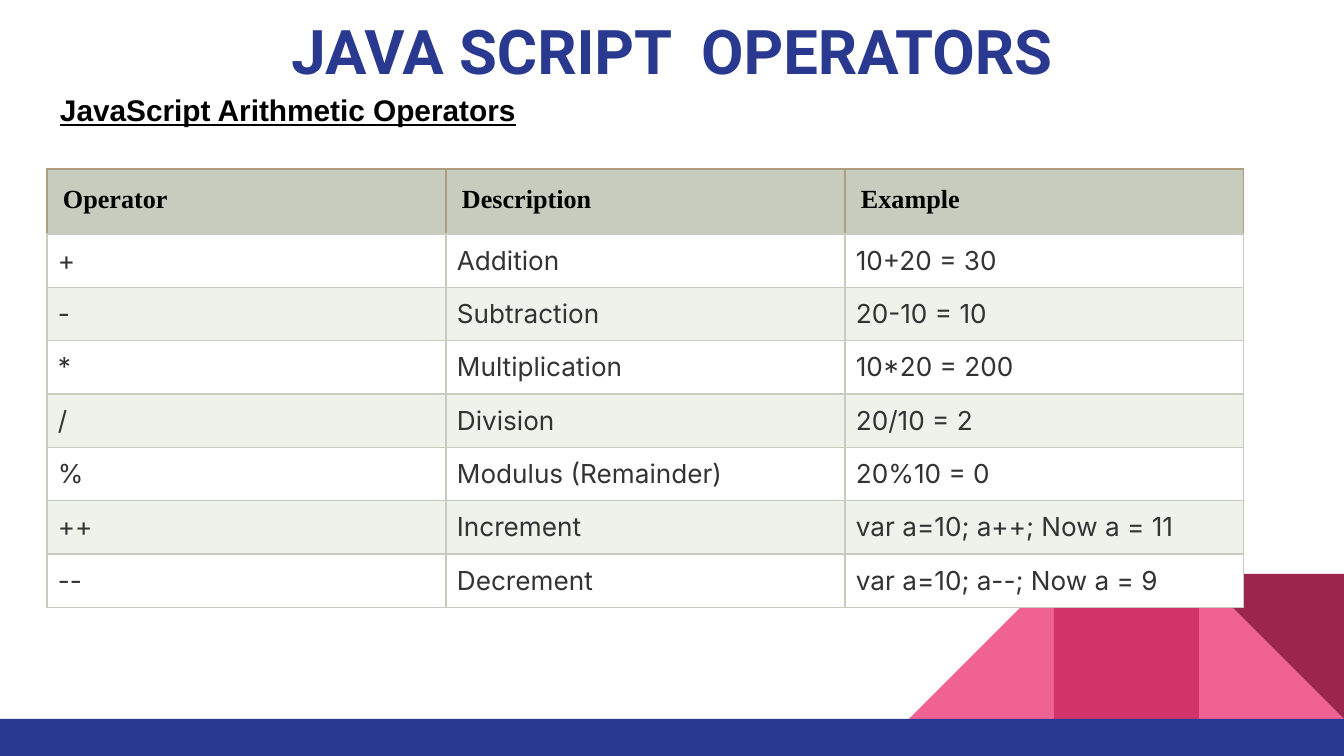
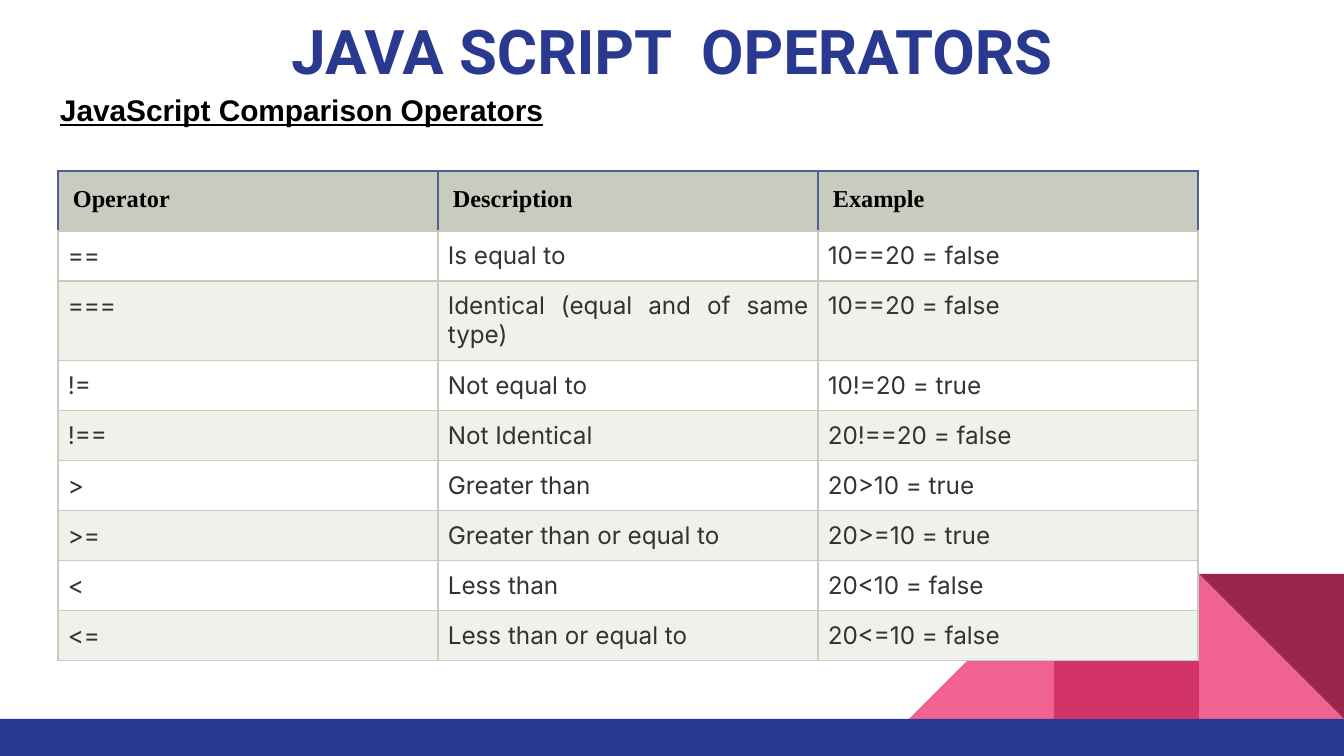
from lxml.etree import SubElement
from pptx import Presentation
from pptx.dml.color import RGBColor
from pptx.enum.shapes import MSO_SHAPE
from pptx.enum.text import MSO_ANCHOR, MSO_AUTO_SIZE, PP_ALIGN
from pptx.oxml.ns import qn
from pptx.util import Pt

TITLE = "JAVA SCRIPT  OPERATORS"
HEADER = ("Operator", "Description", "Example")
SLIDES = [
    {
        "heading": "JavaScript Arithmetic Operators",
        "left": 47, "top": 169, "col": 399, "size": 14, "edge": "B09D81",
        "head_h": 65, "row_h": 53, "tall": {}, "head_pad": 16, "pad": 11,
        "rows": [
            ("+", "Addition", "10+20 = 30"),
            ("-", "Subtraction", "20-10 = 10"),
            ("*", "Multiplication", "10*20 = 200"),
            ("/", "Division", "20/10 = 2"),
            ("%", "Modulus (Remainder)", "20%10 = 0"),
            ("++", "Increment", "var a=10; a++; Now a = 11"),
            ("--", "Decrement", "var a=10; a--; Now a = 9"),
        ],
    },
    {
        "heading": "JavaScript Comparison Operators",
        "left": 58, "top": 171, "col": 380, "size": 13, "edge": "505E93",
        "head_h": 60, "row_h": 50, "tall": {2: 80}, "head_pad": 15, "pad": 10,
        "rows": [
            ("==", "Is equal to", "10==20 = false"),
            ("===", "Identical (equal and of same type)", "10==20 = false"),
            ("!=", "Not equal to", "10!=20 = true"),
            ("!==", "Not Identical", "20!==20 = false"),
            (">", "Greater than", "20>10 = true"),
            (">=", "Greater than or equal to", "20>=10 = true"),
            ("<", "Less than", "20<10 = false"),
            ("<=", "Less than or equal to", "20<=10 = false"),
        ],
    },
]

W, H = 1344, 756
TILE, BAND_Y = 145, 719
NAVY, PINK, ROSE, WINE = "2A3990", "F06292", "D23369", "9C254D"
SAGE, PALE, WHITE = "C7CCBE", "EFF1EB", "FFFFFF"
TITLE_FONT = {"name": "Roboto", "size": Pt(33), "bold": True}
HEADING_FONT = {"name": "Arial", "size": Pt(16), "bold": True, "underline": True}
HEAD_FONT = {"name": "Times New Roman", "bold": True}
CELL_FONT = {"name": "Inter", "bold": False}
TILES = [
    (2, MSO_SHAPE.RIGHT_TRIANGLE, 0, PINK),
    (0, MSO_SHAPE.RIGHT_TRIANGLE, 270, PINK),
    (1, MSO_SHAPE.RECTANGLE, 0, ROSE),
    (2, MSO_SHAPE.RIGHT_TRIANGLE, 180, WINE),
]


def px(n):
    return round(n * 914400 / 134.4)


def color(value):
    return RGBColor.from_string(value)


def write(tf, text, font, ink, align=PP_ALIGN.LEFT):
    p = tf.paragraphs[0]
    p.alignment = align
    r = p.add_run()
    r.text = text
    for key, value in font.items():
        setattr(r.font, key, value)
    r.font.color.rgb = color(ink)


def set_margins(obj, pad):
    for side in ("left", "top", "right", "bottom"):
        setattr(obj, f"margin_{side}", px(pad))


def add_block(s, kind, box, fill, turn=0):
    sp = s.shapes.add_shape(kind, *map(px, box))
    sp.rotation = turn
    sp.shadow.inherit = False
    sp.fill.solid()
    sp.fill.fore_color.rgb = color(fill)
    sp.line.fill.background()
    return sp


def decorate(layout, s):
    blocks = [
        add_block(s, kind, (W - (3 - i) * TILE, BAND_Y - TILE, TILE, TILE), fill, turn)
        for i, kind, turn, fill in TILES
    ]
    blocks.append(add_block(s, MSO_SHAPE.RECTANGLE, (0, BAND_Y, W, H - BAND_Y), NAVY))
    for sp in blocks:
        layout.element.cSld.spTree.append(sp.element)


def place_text(sp, box, text, font, ink, align, fit):
    for key, value in zip(("left", "top", "width", "height"), box):
        setattr(sp, key, px(value))
    tf = sp.text_frame
    tf.word_wrap = True
    tf.auto_size = fit
    tf.vertical_anchor = MSO_ANCHOR.TOP
    set_margins(tf, 13)
    write(tf, text, font, ink, align)


def set_borders(cell, edges):
    tcPr = cell._tc.get_or_add_tcPr()
    for side, ink in zip("LRTB", edges):
        ln = SubElement(tcPr, qn(f"a:ln{side}"), w=str(Pt(0.75)))
        fill = SubElement(ln, qn("a:solidFill"))
        SubElement(fill, qn("a:srgbClr"), val=ink)


def style_cell(cell, text, row, d):
    head = row == 0
    edge = d["edge"] if head else SAGE
    set_margins(cell, d["head_pad"] if head else d["pad"])
    set_borders(cell, (edge, edge, SAGE if row == 1 else edge, SAGE))
    cell.fill.solid()
    cell.fill.fore_color.rgb = color(SAGE if head else WHITE if row % 2 else PALE)
    font = {**(HEAD_FONT if head else CELL_FONT), "size": Pt(d["size"])}
    write(cell.text_frame, text, font, "000000" if head else "333333",
          PP_ALIGN.LEFT if head else PP_ALIGN.JUSTIFY)


def add_operators(s, d):
    rows = [HEADER, *d["rows"]]
    heights = [d["head_h"]] + [d["tall"].get(i, d["row_h"]) for i in range(1, len(rows))]
    box = (d["left"], d["top"], d["col"] * len(HEADER), sum(heights))
    table = s.shapes.add_table(len(rows), len(HEADER), *map(px, box)).table
    table.first_row = table.horz_banding = False
    for col in table.columns:
        col.width = px(d["col"])
    for i, (row, height) in enumerate(zip(rows, heights)):
        table.rows[i].height = px(height)
        for j, text in enumerate(row):
            style_cell(table.cell(i, j), text, i, d)


def main():
    prs = Presentation()
    prs.slide_width, prs.slide_height = px(W), px(H)
    layout = prs.slide_layouts[5]
    for d in SLIDES:
        s = prs.slides.add_slide(layout)
        if d is SLIDES[0]:
            decorate(layout, s)
        place_text(s.shapes.title, (0, 0, W, 89), TITLE, TITLE_FONT, NAVY,
                   PP_ALIGN.CENTER, MSO_AUTO_SIZE.NONE)
        place_text(s.shapes.add_textbox(0, 0, 0, 0), (47, 79, 1250, 63), d["heading"],
                   HEADING_FONT, "000000", PP_ALIGN.LEFT, MSO_AUTO_SIZE.SHAPE_TO_FIT_TEXT)
        add_operators(s, d)
    prs.save("out.pptx")


if __name__ == "__main__":
    main()
